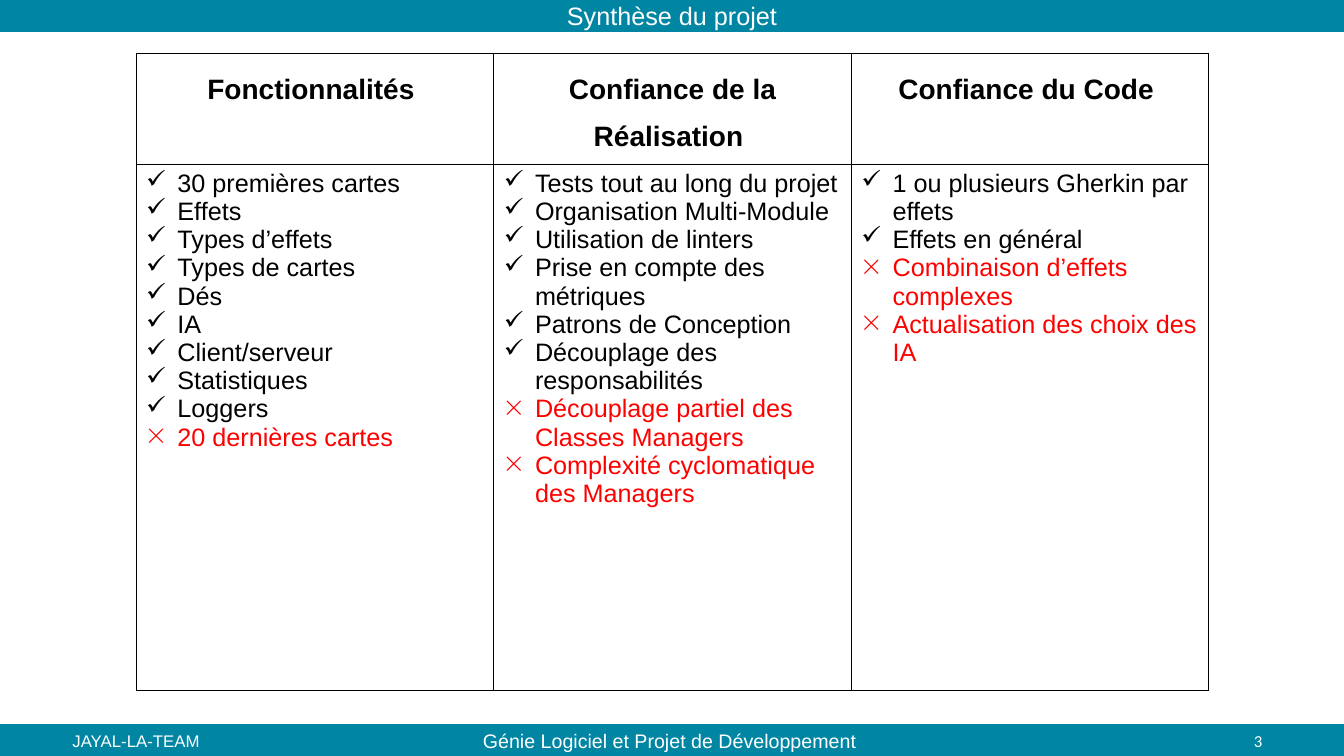
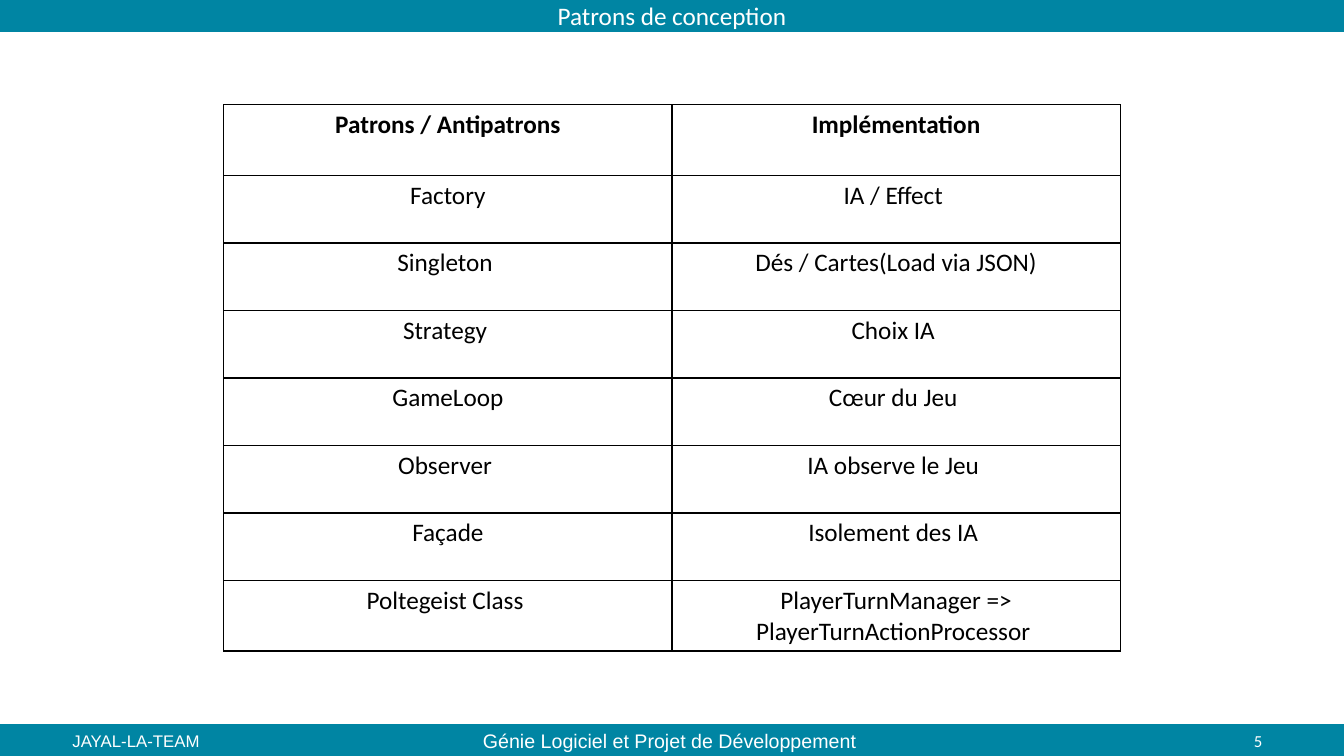
import pptx
import pptx.dml.color
import pptx.enum.shapes
import pptx.enum.text
import pptx.oxml
import pptx.oxml.ns
import pptx.util

WIDTH, HEIGHT = 13.33, 7.5
BAND_HEIGHT = 0.31
TEAL, WHITE, BLACK, RED = "0085A3", "FFFFFF", "000000", "FF0000"
ALIGN = pptx.enum.text.PP_ALIGN
MIDDLE = pptx.enum.text.MSO_ANCHOR.MIDDLE
INDENT = 0.31

FEATURE_COLUMNS = {
    "Fonctionnalités ": (
        ["30 premières cartes", "Effets", "Types d’effets", "Types de cartes", "Dés",
         "IA", "Client/serveur", "Statistiques", "Loggers"],
        ["20 dernières cartes"]),
    "Confiance de la Réalisation ": (
        ["Tests tout au long du projet", "Organisation Multi-Module",
         "Utilisation de linters", "Prise en compte des métriques",
         "Patrons de Conception", "Découplage des responsabilités"],
        ["Découplage partiel des Classes Managers", "Complexité cyclomatique des Managers"]),
    "Confiance du Code ": (
        ["1 ou plusieurs Gherkin par effets", "Effets en général"],
        ["Combinaison d’effets complexes", "Actualisation des choix des IA"]),
}

PATTERN_ROWS = [
    ("Patrons / Antipatrons", "Implémentation"),
    ("Factory", "IA / Effect "),
    ("Singleton ", "Dés / Cartes(Load via JSON)"),
    ("Strategy ", "Choix IA "),
    ("GameLoop", "Cœur du Jeu "),
    ("Observer ", "IA observe le Jeu "),
    ("Façade", "Isolement des IA "),
    ("Poltegeist Class ", "PlayerTurnManager => PlayerTurnActionProcessor "),
]


def color(hex_text):
    return pptx.dml.color.RGBColor.from_string(hex_text)


def inches(*lengths):
    return [pptx.util.Inches(length) for length in lengths]


def write(para, text, size, font="Arial", ink=BLACK, bold=False, align=ALIGN.LEFT):
    para.text = text
    para.alignment = align
    for span in para.runs:
        span.font.size = pptx.util.Pt(size)
        span.font.name = font
        span.font.bold = bold
        span.font.color.rgb = color(ink)


def add_band(page, top):
    band = page.shapes.add_shape(pptx.enum.shapes.MSO_SHAPE.RECTANGLE,
                                 *inches(0, top, WIDTH, BAND_HEIGHT))
    band.shadow.inherit = False
    band.fill.solid()
    band.fill.fore_color.rgb = color(TEAL)
    band.line.color.rgb = color(TEAL)
    band.line.width = pptx.util.Pt(1)
    band.text_frame.vertical_anchor = MIDDLE
    return band


def add_footer(page, number):
    add_band(page, HEIGHT - BAND_HEIGHT)
    parts = [
        (4.42, 4.5, "Génie Logiciel et Projet de Développement ", 14, "Arial", ALIGN.CENTER),
        (9.62, 3, str(number), 12, "Calibri", ALIGN.RIGHT),
        (0.62, 3, "JAYAL-LA-TEAM", 12, "Arial", ALIGN.LEFT),
    ]
    for left, width, text, size, font, align in parts:
        box = page.shapes.add_textbox(*inches(left, 7.15, width, 0.4))
        box.text_frame.word_wrap = True
        box.text_frame.vertical_anchor = MIDDLE
        write(box.text_frame.paragraphs[0], text, size, font, WHITE, align=align)


def add_page(deck, title, font, number):
    page = deck.slides.add_slide(deck.slide_layouts[6])
    header = add_band(page, 0)
    write(header.text_frame.paragraphs[0], title, 18, font, WHITE, align=ALIGN.CENTER)
    add_footer(page, number)
    return page


def set_borders(cell):
    properties = cell._tc.get_or_add_tcPr()
    for position, side in enumerate(("lnL", "lnR", "lnT", "lnB")):
        border = pptx.oxml.parse_xml(
            f'<a:{side} {pptx.oxml.ns.nsdecls("a")} w="12700"><a:solidFill>'
            f'<a:srgbClr val="{BLACK}"/></a:solidFill></a:{side}>')
        properties.insert(position, border)


def add_grid(page, left, top, width, row_heights, column_count):
    """Add a plain white table with black rules and equal columns."""
    frame = page.shapes.add_table(len(row_heights), column_count,
                                  *inches(left, top, width, sum(row_heights)))
    table = frame.table
    table.first_row = table.horz_banding = False
    for row, height in zip(table.rows, row_heights):
        row.height = pptx.util.Inches(height)
    for column in table.columns:
        column.width = pptx.util.Inches(width / column_count)
    for cell in table.iter_cells():
        cell.fill.solid()
        cell.fill.fore_color.rgb = color(WHITE)
        set_borders(cell)
    return table


def set_bullet(para, symbol):
    properties = para._p.get_or_add_pPr()
    indent = pptx.util.Inches(INDENT)
    properties.set("marL", str(indent))
    properties.set("indent", str(-indent))
    properties.append(pptx.oxml.parse_xml(
        f'<a:buChar {pptx.oxml.ns.nsdecls("a")} char="{symbol}"/>'))


def fill_checklist(cell, done, missing):
    items = [(text, "✓", BLACK) for text in done] + [(text, "×", RED) for text in missing]
    frame = cell.text_frame
    for index, (text, symbol, ink) in enumerate(items):
        para = frame.add_paragraph() if index else frame.paragraphs[0]
        write(para, text, 18, ink=ink)
        set_bullet(para, symbol)


def add_summary_page(deck):
    page = add_page(deck, "Synthèse du projet", "Arial", 3)
    table = add_grid(page, 1.35, 0.53, 10.64, [1.03, 5.22], len(FEATURE_COLUMNS))
    for index, (heading, (done, missing)) in enumerate(FEATURE_COLUMNS.items()):
        para = table.cell(0, index).text_frame.paragraphs[0]
        write(para, heading, 20, bold=True, align=ALIGN.CENTER)
        para.line_spacing = 1.5
        fill_checklist(table.cell(1, index), done, missing)


def add_patterns_page(deck):
    page = add_page(deck, "Patrons de conception", "Calibri", 5)
    heights = [0.7] + [0.67] * (len(PATTERN_ROWS) - 2) + [0.7]
    table = add_grid(page, 2.22, 1.04, 8.89, heights, 2)
    for row, texts in enumerate(PATTERN_ROWS):
        for column, text in enumerate(texts):
            write(table.cell(row, column).text_frame.paragraphs[0], text, 18, "Calibri",
                  bold=row == 0, align=ALIGN.CENTER)


def main():
    deck = pptx.Presentation()
    deck.slide_width, deck.slide_height = inches(WIDTH, HEIGHT)
    add_summary_page(deck)
    add_patterns_page(deck)
    deck.save("out.pptx")


if __name__ == "__main__":
    main()
